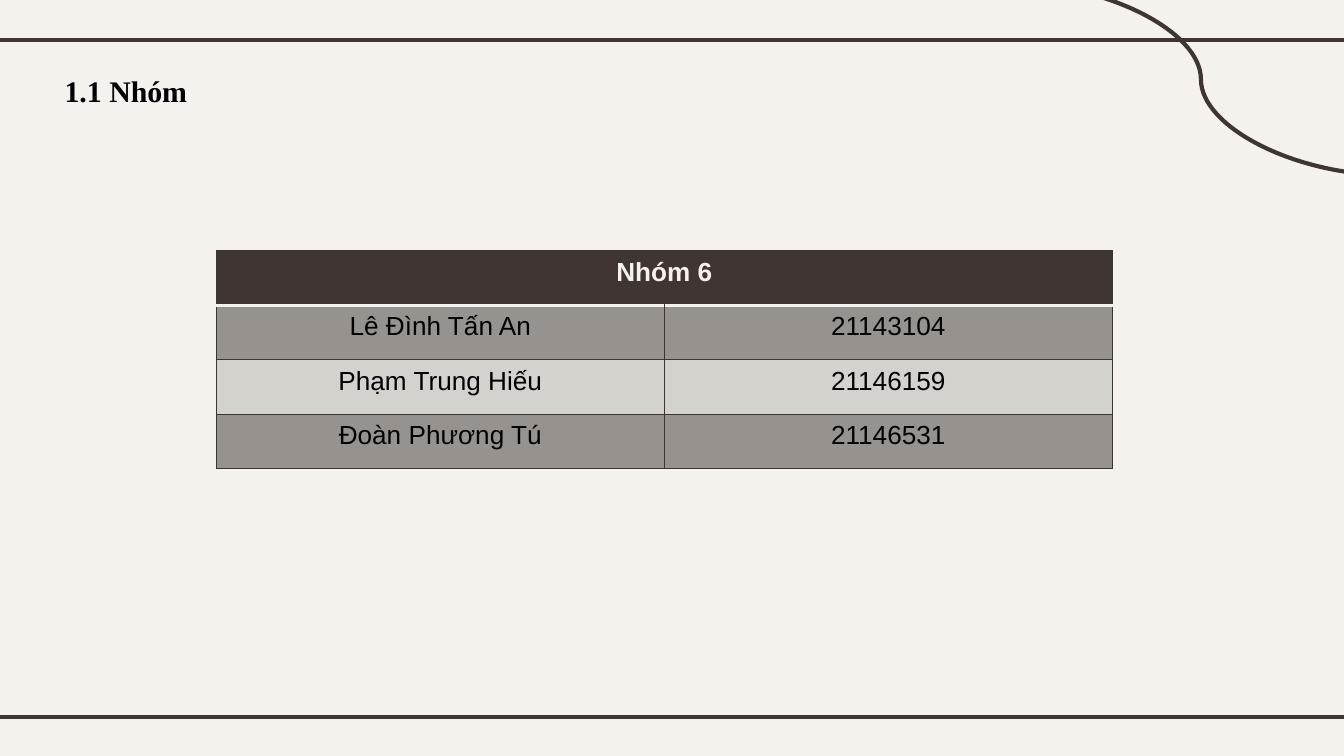
"""Build the group member slide with its heading, table and decorative lines."""
from dataclasses import dataclass

import lxml.etree
import pptx
import pptx.dml.color
import pptx.enum.shapes
import pptx.enum.text
import pptx.oxml.ns
import pptx.util

Pt = pptx.util.Pt
Connector = pptx.enum.shapes.MSO_CONNECTOR
COLORS = {
    "background": "F5F2EE",
    "dark": "3F3533",
    "border": "3E3432",
    "odd_row": "98928E",
    "even_row": "D3D2CD",
    "text": "000000",
}


@dataclass
class Stroke:
    kind: Connector
    start: tuple[float, float]
    end: tuple[float, float]


@dataclass
class TableRow:
    texts: tuple[str, str]
    fill: str
    text_color: str = "text"
    bold: bool = False


STROKES = [
    Stroke(Connector.STRAIGHT, (-6, 21.5), (726, 21.5)),
    Stroke(Connector.STRAIGHT, (-6, 384), (726, 384)),
    Stroke(Connector.CURVE, (542.2, -8.8), (744.5, 93.8)),
]
ROWS = [
    TableRow(("Nhóm 6", ""), "dark", "background", True),
    TableRow(("Lê Đình Tấn An", "21143104"), "odd_row"),
    TableRow(("Phạm Trung Hiếu", "21146159"), "even_row"),
    TableRow(("Đoàn Phương Tú", "21146531"), "odd_row"),
]
TABLE_LEFT, TABLE_TOP = 115.9, 134.3
COLUMN_WIDTH, ROW_HEIGHT = 240, 29.2


def rgb(name: str) -> pptx.dml.color.RGBColor:
    return pptx.dml.color.RGBColor.from_string(COLORS[name])


def add_child(parent, tag: str, **attributes: str):
    return lxml.etree.SubElement(parent, pptx.oxml.ns.qn(tag), attributes)


def style_font(font, name: str, size: float, color: str, bold: bool) -> None:
    font.name, font.size, font.bold = name, Pt(size), bold
    font.color.rgb = rgb(color)


def draw_stroke(slide, stroke: Stroke) -> None:
    ends = [Pt(value) for value in stroke.start + stroke.end]
    connector = slide.shapes.add_connector(stroke.kind, *ends)
    connector.line.color.rgb = rgb("dark")
    connector.line.width = Pt(2.25)
    add_child(connector._element.spPr, "a:effectLst")


def add_border(cell, side: str, color: str, width: float) -> None:
    line = add_child(cell._tc.get_or_add_tcPr(), f"a:ln{side}", w=str(Pt(width)))
    add_child(add_child(line, "a:solidFill"), "a:srgbClr", val=COLORS[color])


def draw_cell(cell, text: str, row: TableRow, row_index: int) -> None:
    for side in "LRTB":
        under_header = (row_index, side) in {(0, "B"), (1, "T")}
        add_border(cell, side, *(("background", 2) if under_header else ("border", 0.75)))
    cell.fill.solid()
    cell.fill.fore_color.rgb = rgb(row.fill)
    if text:
        cell.text = text
        para = cell.text_frame.paragraphs[0]
        para.alignment = pptx.enum.text.PP_ALIGN.CENTER
        style_font(para.font, "Arial", 14, row.text_color, row.bold)


def draw_table(slide, rows: list[TableRow]) -> None:
    frame = slide.shapes.add_table(
        len(rows), 2, Pt(TABLE_LEFT), Pt(TABLE_TOP),
        Pt(2 * COLUMN_WIDTH), Pt(len(rows) * ROW_HEIGHT),
    )
    table = frame.table
    for row_index, row in enumerate(rows):
        table.rows[row_index].height = Pt(ROW_HEIGHT)
        for column, text in enumerate(row.texts):
            draw_cell(table.cell(row_index, column), text, row, row_index)
    table.cell(0, 0).merge(table.cell(0, 1))


def draw_title(slide, text: str) -> None:
    title = slide.shapes.title
    title.left, title.top, title.width, title.height = Pt(27.4), Pt(31.7), Pt(200), Pt(27.4)
    box = title.text_frame
    box.text = text
    box.word_wrap = True
    box.auto_size = pptx.enum.text.MSO_AUTO_SIZE.NONE
    box.vertical_anchor = pptx.enum.text.MSO_ANCHOR.TOP
    box.margin_left = box.margin_right = box.margin_top = box.margin_bottom = Pt(7.2)
    para = box.paragraphs[0]
    para.alignment = pptx.enum.text.PP_ALIGN.LEFT
    style_font(para.font, "Times New Roman", 16, "text", True)


def main() -> None:
    deck = pptx.Presentation()
    deck.slide_width, deck.slide_height = Pt(720), Pt(405)
    slide = deck.slides.add_slide(deck.slide_layouts.get_by_name("Title Only"))
    slide.background.fill.solid()
    slide.background.fill.fore_color.rgb = rgb("background")
    for stroke in STROKES:
        draw_stroke(slide, stroke)
    draw_title(slide, "1.1 Nhóm")
    draw_table(slide, ROWS)
    deck.save("out.pptx")


if __name__ == "__main__":
    main()
